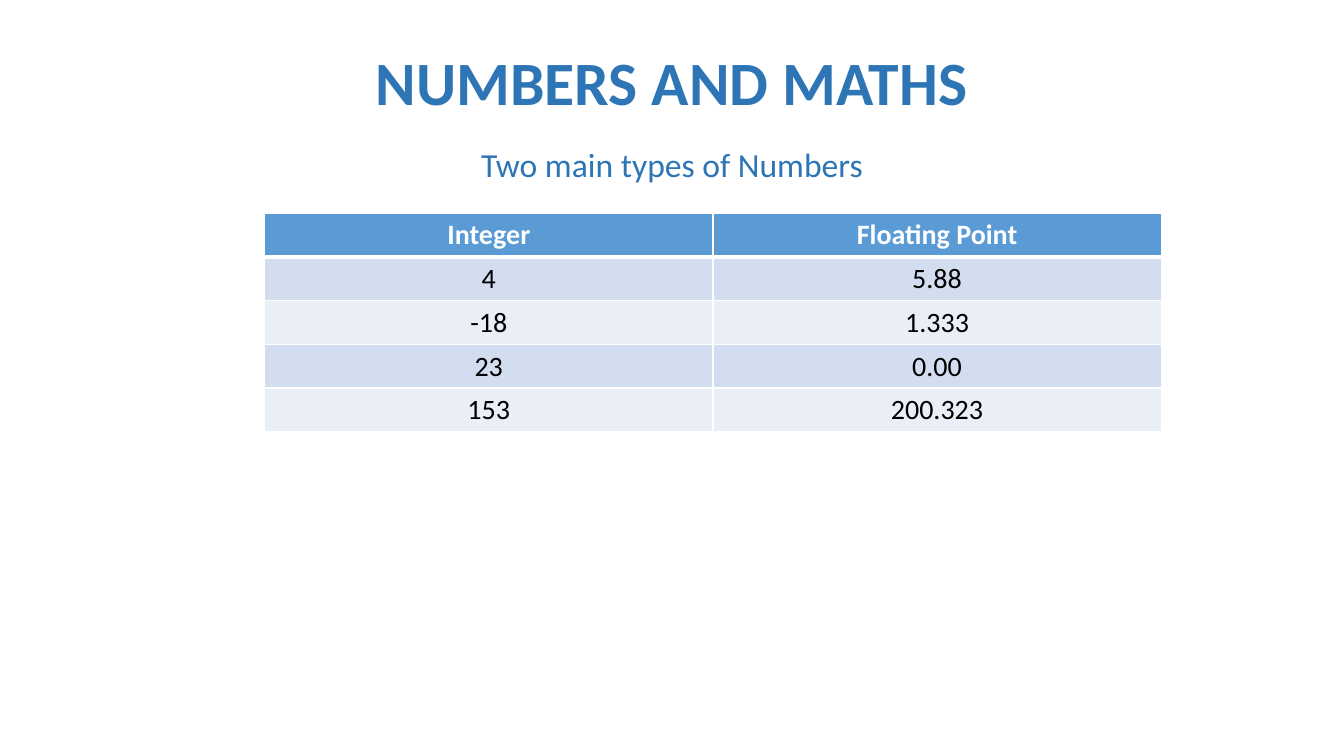
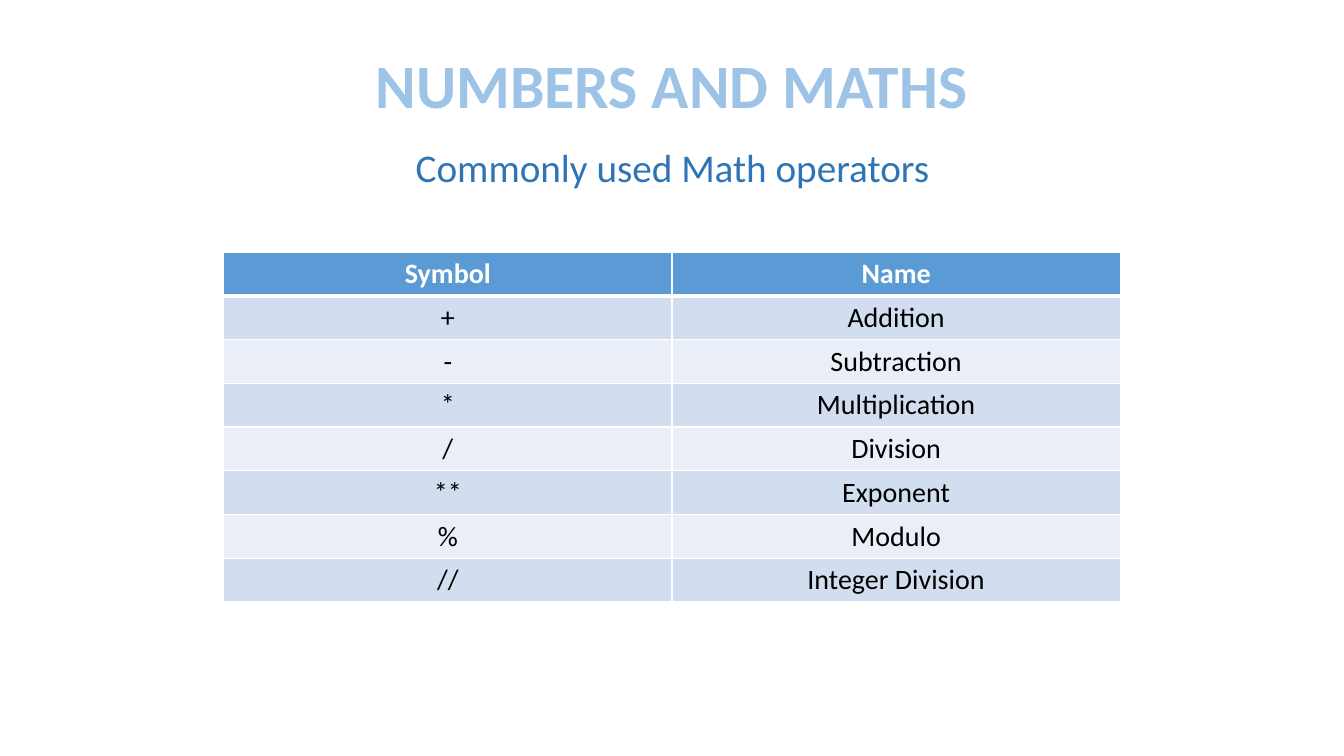
import pptx
import pptx.dml.color
import pptx.enum.text
import pptx.oxml
import pptx.oxml.ns
import pptx.util

PX = 9525  # EMU per px, 96 px to the inch
FONT = "Calibri"
TITLE_TEXT = "NUMBERS AND MATHS"

RGBColor = pptx.dml.color.RGBColor
BLUE = RGBColor(0x2E, 0x75, 0xB6)
LIGHT_BLUE = RGBColor(0x9D, 0xC3, 0xE6)
HEADER_FILL = RGBColor(0x5B, 0x9B, 0xD5)
BAND_FILLS = (RGBColor(0xD2, 0xDE, 0xEF), RGBColor(0xEA, 0xEF, 0xF7))
WHITE = RGBColor(0xFF, 0xFF, 0xFF)
BLACK = RGBColor(0x00, 0x00, 0x00)

COLUMN_WIDTH = 427
ROW_HEIGHT = 41
THIN, THICK = 1, 3

NUMBER_ROWS = [
    ("Integer", "Floating Point"),
    ("4", "5.88"),
    ("-18", "1.333"),
    ("23", "0.00"),
    ("153", "200.323"),
]
OPERATOR_ROWS = [
    ("Symbol", "Name"),
    ("+", "Addition"),
    ("-", "Subtraction"),
    ("*", "Multiplication"),
    ("/", "Division"),
    ("**", "Exponent"),
    ("%", "Modulo"),
    ("//", "Integer Division"),
]


def px(*lengths):
    return [pptx.util.Emu(length * PX) for length in lengths]


def write_centred(text_frame, text, size, color, bold=False):
    paragraph = text_frame.paragraphs[0]
    paragraph.alignment = pptx.enum.text.PP_ALIGN.CENTER
    run = paragraph.add_run()
    run.text = text
    run.font.name = FONT
    run.font.size = pptx.util.Pt(size)
    run.font.bold = bold
    run.font.color.rgb = color
    return paragraph


def add_titled_slide(presentation, title_color, title_height):
    slide = presentation.slides.add_slide(presentation.slide_layouts[5])
    title = slide.shapes.title
    title.left, title.top, title.width, title.height = px(88, 38, 1104, title_height)
    title.text_frame.auto_size = pptx.enum.text.MSO_AUTO_SIZE.NONE
    title.text_frame.vertical_anchor = pptx.enum.text.MSO_ANCHOR.MIDDLE
    paragraph = write_centred(title.text_frame, TITLE_TEXT, 44, title_color, bold=True)
    paragraph.line_spacing = 0.9
    return slide


def add_subtitle(slide, text, size, left, width, height):
    text_box = slide.shapes.add_textbox(*px(left, 132, width, height))
    text_box.text_frame.word_wrap = True
    write_centred(text_box.text_frame, text, size, BLUE)


def set_borders(cell, top, bottom):
    """Draw white borders; top and bottom are widths in points."""
    properties = cell._tc.get_or_add_tcPr()
    for side, width in (("L", THIN), ("R", THIN), ("T", top), ("B", bottom)):
        properties.append(pptx.oxml.parse_xml(
            f'<a:ln{side} {pptx.oxml.ns.nsdecls("a")} w="{pptx.util.Pt(width)}">'
            f'<a:solidFill><a:srgbClr val="{WHITE}"/></a:solidFill></a:ln{side}>'
        ))


def add_banded_table(slide, rows, left, top):
    column_count = len(rows[0])
    frame = slide.shapes.add_table(
        len(rows), column_count,
        *px(left, top, column_count * COLUMN_WIDTH, len(rows) * ROW_HEIGHT),
    )
    table = frame.table
    table.horz_banding = False
    for row_index, row in enumerate(rows):
        is_header = row_index == 0
        fill = HEADER_FILL if is_header else BAND_FILLS[(row_index - 1) % 2]
        for column_index, text in enumerate(row):
            cell = table.cell(row_index, column_index)
            set_borders(cell,
                        top=THICK if row_index == 1 else THIN,
                        bottom=THICK if is_header else THIN)
            cell.fill.solid()
            cell.fill.fore_color.rgb = fill
            write_centred(cell.text_frame, text, 20,
                          WHITE if is_header else BLACK, bold=is_header)


def main():
    presentation = pptx.Presentation()
    presentation.slide_width, presentation.slide_height = px(1280, 720)

    numbers = add_titled_slide(presentation, BLUE, title_height=87)
    add_subtitle(numbers, "Two main types of Numbers", 24, left=369, width=542, height=48)
    add_banded_table(numbers, NUMBER_ROWS, left=252, top=203)

    operators = add_titled_slide(presentation, LIGHT_BLUE, title_height=93)
    add_subtitle(operators, "Commonly used Math operators", 28, left=383, width=515, height=55)
    add_banded_table(operators, OPERATOR_ROWS, left=213, top=240)

    presentation.save("out.pptx")


if __name__ == "__main__":
    main()
